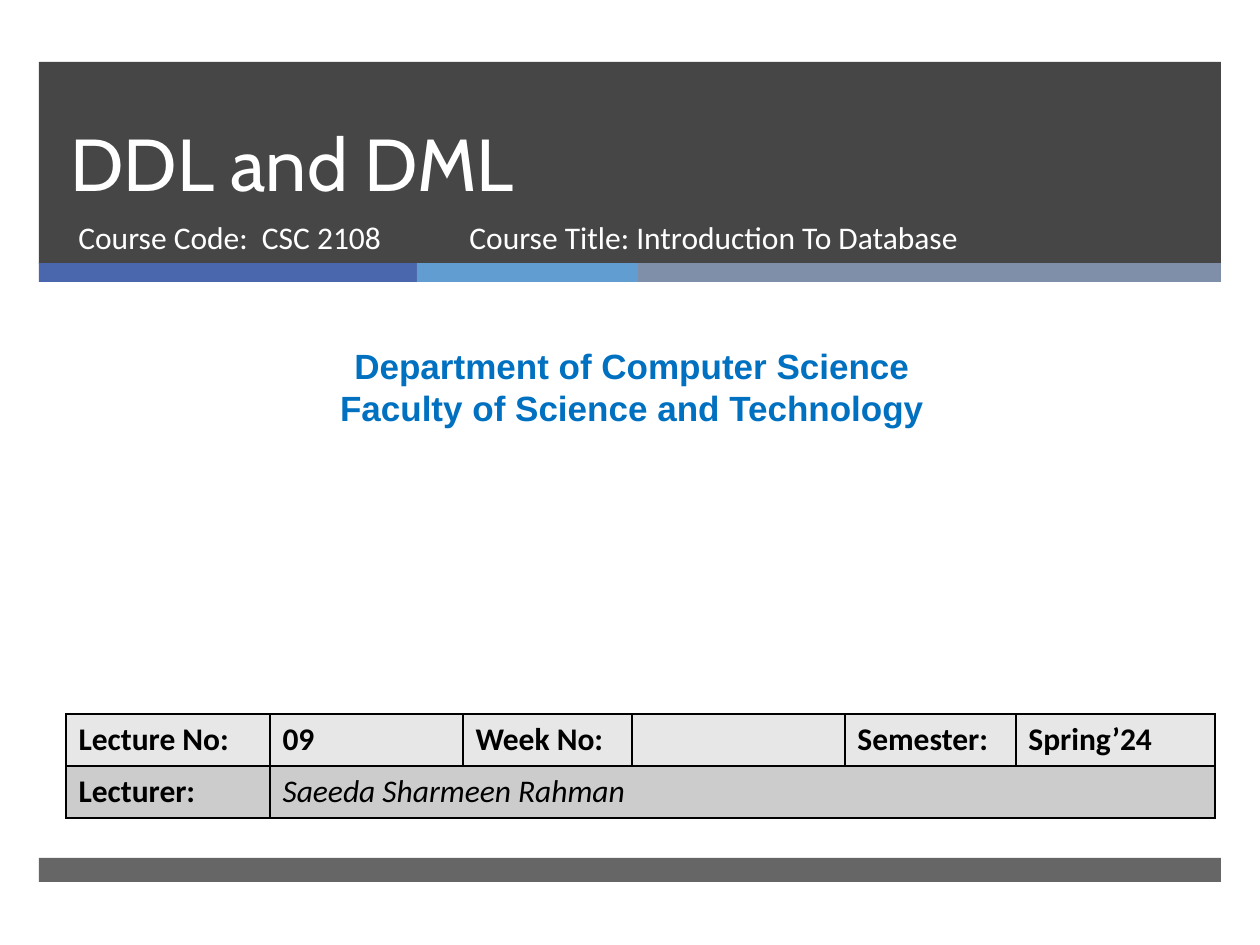
from dataclasses import dataclass
from itertools import accumulate

from lxml import etree
from pptx import Presentation
from pptx.dml.color import RGBColor
from pptx.enum.shapes import MSO_SHAPE
from pptx.enum.text import MSO_ANCHOR, PP_ALIGN
from pptx.oxml.ns import qn
from pptx.util import Pt

RECTANGLE = MSO_SHAPE.RECTANGLE
TOP, BOTTOM = MSO_ANCHOR.TOP, MSO_ANCHOR.BOTTOM
LEFT, CENTER = PP_ALIGN.LEFT, PP_ALIGN.CENTER
EMU_PER_PX = 914400 / 126
BLANK_LAYOUT = 6


@dataclass(frozen=True)
class Theme:
    dark: str = "262626"
    strip: tuple = ("4A66AC", "629DD1", "7F8FA9")
    white: str = "FFFFFF"
    black: str = "000000"
    heading: str = "0070C0"
    rows: tuple = ("E7E7E7", "CCCCCC")
    title_size: int = 42
    heading_size: int = 20
    body_size: int = 18
    title_line: int = 46
    border_width: int = 1
    title_font: str = "Cabin"
    heading_font: str = "Arial"
    body_font: str = "Calibri"


def px(value):
    return round(value * EMU_PER_PX)


class SlideBuilder:
    def __init__(self, slide, theme):
        self.slide = slide
        self.theme = theme

    def bar(self, left, top, width, height, color, opacity=100):
        shape = self.slide.shapes.add_shape(
            RECTANGLE, *map(px, (left, top, width, height)))
        shape.shadow.inherit = False
        shape.fill.solid()
        shape.fill.fore_color.rgb = RGBColor.from_string(color)
        shape.line.fill.background()
        if opacity < 100:
            color_node = shape._element.spPr.find(qn("a:solidFill"))[0]
            etree.SubElement(color_node, qn("a:alpha"), val=str(opacity * 1000))

    def add_lines(self, frame, lines, color, size, font,
                  align=LEFT, line_spacing=None, **style):
        values = {"name": font, "size": Pt(size), **style}
        for index, line in enumerate(lines):
            paragraph = frame.paragraphs[0] if index == 0 else frame.add_paragraph()
            paragraph.alignment = align
            paragraph.line_spacing = line_spacing
            run = paragraph.add_run()
            run.text = line
            run.font.color.rgb = RGBColor.from_string(color)
            for name, value in values.items():
                setattr(run.font, name, value)

    def text(self, left, top, width, height, lines, *look, anchor=TOP, **style):
        shape = self.slide.shapes.add_textbox(*map(px, (left, top, width, height)))
        frame = shape.text_frame
        frame.word_wrap = True
        frame.vertical_anchor = anchor
        self.add_lines(frame, lines, *look, **style)

    def border(self, cell):
        properties = cell._tc.get_or_add_tcPr()
        for side in ("a:lnL", "a:lnR", "a:lnT", "a:lnB"):
            line = etree.SubElement(properties, qn(side),
                                    w=str(Pt(self.theme.border_width)))
            fill = etree.SubElement(line, qn("a:solidFill"))
            etree.SubElement(fill, qn("a:srgbClr"), val=self.theme.black)

    def table(self, left, top, widths, row_height, rows):
        """Each row is a list of (text, style) pairs; a short row merges its rest."""
        theme = self.theme
        table = self.slide.shapes.add_table(
            len(rows), len(widths), px(left), px(top),
            px(sum(widths)), px(row_height * len(rows))).table
        table.first_row = table.horz_banding = False
        for column, width in zip(table.columns, widths):
            column.width = px(width)
        for index, (row, color) in enumerate(zip(rows, theme.rows)):
            table.rows[index].height = px(row_height)
            for cell in table.rows[index].cells:
                self.border(cell)
                cell.fill.solid()
                cell.fill.fore_color.rgb = RGBColor.from_string(color)
            if len(row) < len(widths):
                table.cell(index, len(row) - 1).merge(
                    table.cell(index, len(widths) - 1))
            for column, (words, style) in enumerate(row):
                if words:
                    self.add_lines(table.cell(index, column).text_frame, [words],
                                   theme.black, theme.body_size, theme.body_font,
                                   **style)


def main():
    theme = Theme()
    presentation = Presentation()
    presentation.slide_width, presentation.slide_height = px(1260), px(945)
    slide = presentation.slides.add_slide(presentation.slide_layouts[BLANK_LAYOUT])
    builder = SlideBuilder(slide, theme)

    # Banner, three-colour strip and footer
    margin, full_width = 39, 1182
    builder.bar(margin, 62, full_width, 202, theme.dark, opacity=85)
    strip_widths = (378, 221, 583)
    strip_lefts = accumulate(strip_widths, initial=margin)
    for left, width, color in zip(strip_lefts, strip_widths, theme.strip):
        builder.bar(left, 263, width, 19, color)
    builder.bar(margin, 858, full_width, 24, theme.dark, opacity=70)

    # Title and course details
    builder.text(58, 62, 1076, 150, ["DDL and DML"],
                 theme.white, theme.title_size, theme.title_font,
                 anchor=BOTTOM, line_spacing=Pt(theme.title_line))
    for left, width, words in (
            (66, 384, "Course Code:  CSC 2108"),
            (457, 573, "Course Title: Introduction To Database")):
        builder.text(left, 212, width, 67, [words],
                     theme.white, theme.body_size, theme.body_font)

    # Department
    builder.text(10, 338, 1244, 97,
                 ["Department of Computer Science",
                  "Faculty of Science and Technology"],
                 theme.heading, theme.heading_size, theme.heading_font,
                 align=CENTER, bold=True)

    # Lecture details
    bold, italic = {"bold": True}, {"italic": True}
    labels = ("Lecture No:", "09", "Week No:", "", "Semester:", "Spring’24")
    builder.table(66, 714, (204, 193, 169, 213, 171, 199), 52, [
        [(label, bold) for label in labels],
        [("Lecturer:", bold), ("Saeeda Sharmeen Rahman", italic)],
    ])

    presentation.save("out.pptx")


if __name__ == "__main__":
    main()
